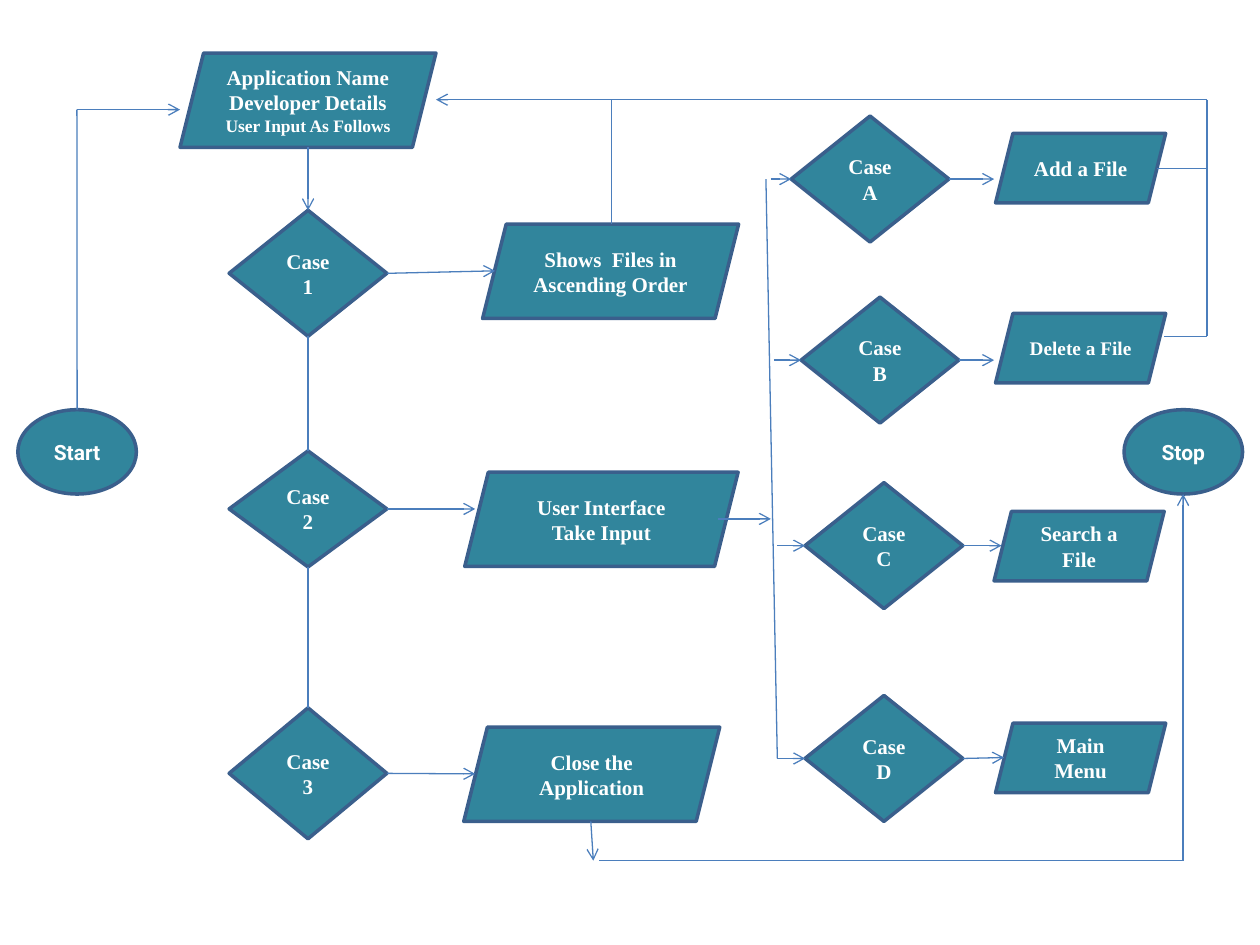
from dataclasses import dataclass

import pptx
import pptx.dml.color
import pptx.enum.shapes
import pptx.enum.text
import pptx.oxml
import pptx.oxml.ns
import pptx.util
from pptx.util import Cm

COLORS = {"fill": "31859C", "outline": "3A5F8C", "link": "4B7EBC", "text": "FFFFFF"}
SERIF, SANS = "Times New Roman", "Roboto"
TOP, LEFT, BOTTOM, RIGHT = range(4)

PRESETS = pptx.enum.shapes.MSO_SHAPE
TERMINAL, DECISION, STEP = PRESETS.OVAL, PRESETS.DIAMOND, PRESETS.PARALLELOGRAM

Point = tuple[float, float]


@dataclass
class Node:
    """A flowchart symbol, measured in centimetres; each text line is a paragraph."""
    kind: int
    text: str
    left: float
    top: float
    width: float
    height: float
    sizes: tuple[float, ...] = (12,)
    font: str = SERIF


@dataclass
class Joint:
    node: str
    side: int


@dataclass
class Link:
    start: Point | Joint
    end: Point | Joint
    arrow: bool = False


@dataclass
class Command:
    """A sub-menu case with its step and the two arrows beside the case."""
    case: str
    case_left: float
    case_top: float
    branch: Point
    action: str
    action_left: float
    action_top: float
    arrow_tip: Point
    size: float = 12


COMMANDS = [
    Command("Case A", 15.95, 2.34, (15.54, 3.61), "Add a File", 20.07, 2.69, (20.04, 3.61)),
    Command("Case B", 16.15, 5.99, (15.6, 7.26), "Delete a File", 20.07, 6.32, (20.04, 7.26), 11),
    Command("Case C", 16.23, 9.73, (15.67, 11), "Search a File", 20.04, 10.31, (20.19, 11)),
    Command("Case D", 16.23, 14.02, (15.67, 15.29), "Main Menu", 20.07, 14.58, (20.24, 15.27)),
]

NODES = [
    Node(TERMINAL, "Start", 0.36, 8.26, 2.39, 1.7, font=SANS),
    Node(TERMINAL, "Stop", 22.66, 8.26, 2.39, 1.7, font=SANS),
    Node(STEP, "Application Name\nDeveloper Details\nUser Input As Follows",
         3.63, 1.07, 5.16, 1.9, (12, 12, 10)),
    Node(STEP, "Shows  Files in Ascending Order", 9.73, 4.52, 5.16, 1.9),
    Node(STEP, "User Interface\nTake Input", 9.37, 9.52, 5.51, 1.9, (12, 12)),
    Node(STEP, "Close the Application", 9.35, 14.66, 5.16, 1.9),
    Node(DECISION, "Case 1", 4.62, 4.24, 3.18, 2.54),
    Node(DECISION, "Case 2", 4.62, 9.09, 3.18, 2.34),
    Node(DECISION, "Case 3", 4.62, 14.27, 3.18, 2.64),
]

# Corners and junctions shared by several links
START_CORNER = (1.55, 2.21)
RETURN_JUNCTION = (12.32, 2.01)
RETURN_TOP, RETURN_BOTTOM = (24.33, 2.01), (24.33, 6.78)
STOP_CORNER = (23.85, 17.35)

LINKS = [
    # Start and the main menu
    Link(START_CORNER, (3.63, 2.21), arrow=True),
    Link(START_CORNER, Joint("Start", TOP)),
    Link((6.21, 2.97), Joint("Case 1", TOP), arrow=True),
    Link(Joint("Case 1", BOTTOM), Joint("Case 2", TOP)),
    Link(Joint("Case 2", BOTTOM), Joint("Case 3", TOP)),
    Link(Joint("Case 1", RIGHT), (9.98, 5.46), arrow=True),
    Link(Joint("Case 2", RIGHT), (9.58, 10.26), arrow=True),
    Link(Joint("Case 3", RIGHT), (9.58, 15.6), arrow=True),
    # Closing
    Link((11.91, 16.56), (11.96, 17.35), arrow=True),
    Link(STOP_CORNER, (12.07, 17.35)),
    Link(STOP_CORNER, (23.85, 9.96), arrow=True),
    # Sub-menu spine
    Link((14.48, 10.46), (15.54, 10.46), arrow=True),
    Link((15.44, 3.61), (15.67, 15.29)),
    # Return to the main menu
    Link(RETURN_JUNCTION, (8.79, 2.01), arrow=True),
    Link((12.32, 4.52), RETURN_JUNCTION),
    Link(RETURN_JUNCTION, RETURN_TOP),
    Link(RETURN_TOP, RETURN_BOTTOM),
    Link(RETURN_BOTTOM, (23.47, 6.78)),
    Link((23.32, 3.4), (24.33, 3.4)),
]


def rgb(name: str) -> pptx.dml.color.RGBColor:
    return pptx.dml.color.RGBColor.from_string(COLORS[name])


def draw_node(shapes, node: Node):
    symbol = shapes.add_shape(node.kind, Cm(node.left), Cm(node.top),
                              Cm(node.width), Cm(node.height))
    symbol.shadow.inherit = False
    symbol.fill.solid()
    symbol.fill.fore_color.rgb = rgb("fill")
    symbol.line.color.rgb = rgb("outline")
    symbol.line.width = pptx.util.Pt(2)

    frame = symbol.text_frame
    frame.word_wrap = True
    frame.vertical_anchor = pptx.enum.text.MSO_ANCHOR.MIDDLE
    frame.text = node.text
    for paragraph, size in zip(frame.paragraphs, node.sizes):
        paragraph.alignment = pptx.enum.text.PP_ALIGN.CENTER
        paragraph.font.name = node.font
        paragraph.font.size = pptx.util.Pt(size)
        paragraph.font.bold = True
        paragraph.font.color.rgb = rgb("text")
    return symbol


def draw_link(shapes, link: Link, symbols: dict) -> None:
    # Joined ends start at the origin and are moved by the connection.
    ends = [(0, 0) if isinstance(end, Joint) else end for end in (link.start, link.end)]
    connector = shapes.add_connector(pptx.enum.shapes.MSO_CONNECTOR.STRAIGHT,
                                     *(Cm(value) for end in ends for value in end))
    if isinstance(link.start, Joint):
        connector.begin_connect(symbols[link.start.node], link.start.side)
    if isinstance(link.end, Joint):
        connector.end_connect(symbols[link.end.node], link.end.side)
    connector.line.color.rgb = rgb("link")
    connector.line.width = pptx.util.Pt(0.75)
    if link.arrow:
        add_child(connector.line._get_or_add_ln(), "a:tailEnd").set("type", "arrow")
    add_child(connector._element.spPr, "a:effectLst")


def add_child(parent, tag: str):
    child = pptx.oxml.parse_xml(f"<{tag} {pptx.oxml.ns.nsdecls('a')}/>")
    parent.append(child)
    return child


def main() -> None:
    presentation = pptx.Presentation()
    presentation.slide_width, presentation.slide_height = Cm(25.4), Cm(19.05)
    shapes = presentation.slides.add_slide(presentation.slide_layouts[6]).shapes

    nodes, links = list(NODES), list(LINKS)
    for command in COMMANDS:
        nodes += [
            Node(DECISION, command.case, command.case_left, command.case_top, 3.18, 2.54),
            Node(STEP, command.action, command.action_left, command.action_top,
                 3.43, 1.4, (command.size,)),
        ]
        links += [
            Link(command.branch, Joint(command.case, LEFT), arrow=True),
            Link(Joint(command.case, RIGHT), command.arrow_tip, arrow=True),
        ]

    symbols = {node.text: draw_node(shapes, node) for node in nodes}
    for link in links:
        draw_link(shapes, link, symbols)
    presentation.save("out.pptx")


if __name__ == "__main__":
    main()
